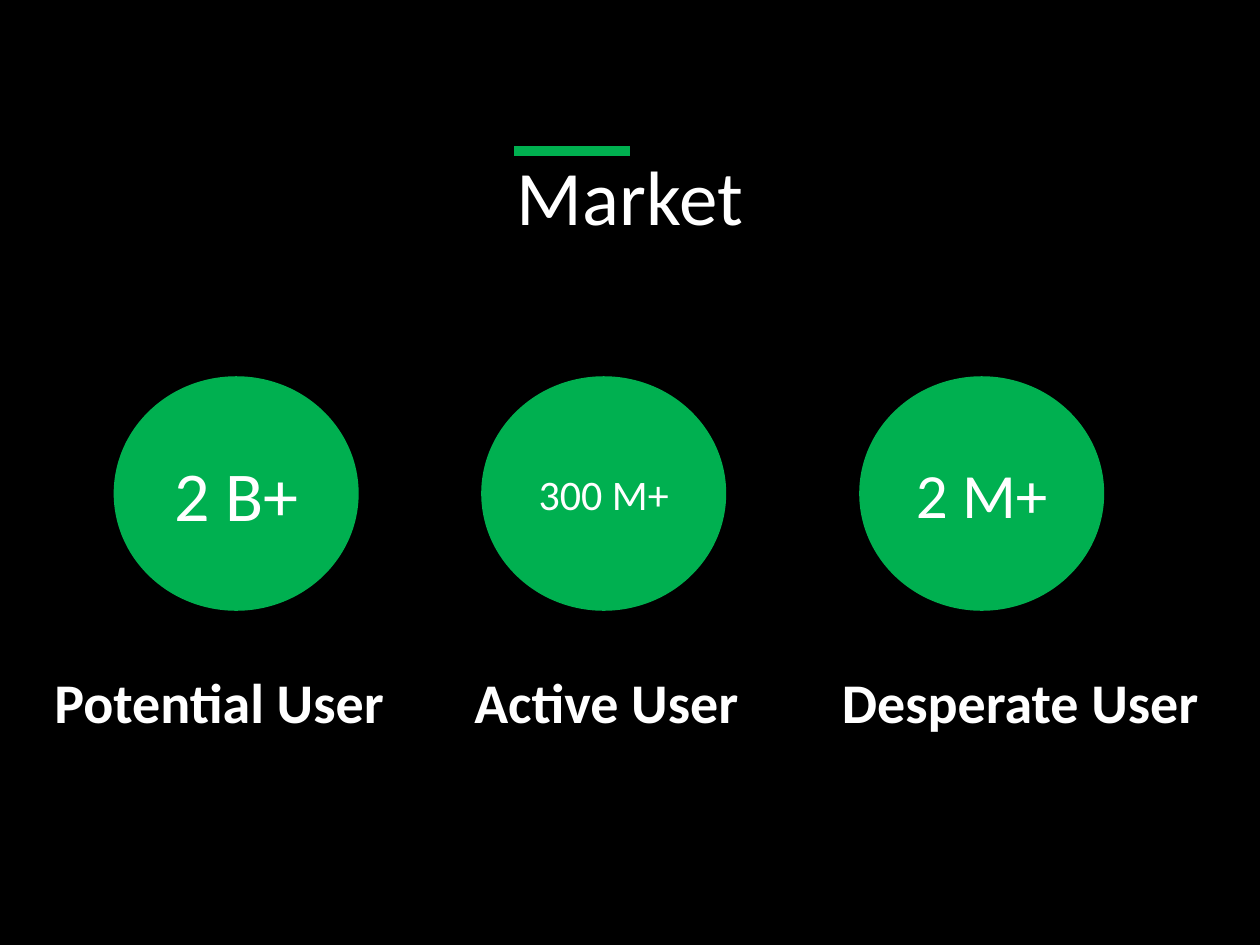
from dataclasses import dataclass

from lxml.etree import SubElement
from pptx import Presentation
from pptx.dml.color import RGBColor
from pptx.enum.shapes import MSO_CONNECTOR, MSO_SHAPE
from pptx.enum.text import MSO_ANCHOR, MSO_AUTO_SIZE, PP_ALIGN
from pptx.oxml.ns import qn
from pptx.util import Inches, Pt


@dataclass(frozen=True)
class Theme:
    font: str = "Calibri"
    background: RGBColor = RGBColor(0x00, 0x00, 0x00)
    accent: RGBColor = RGBColor(0x00, 0xB0, 0x50)
    text: RGBColor = RGBColor(0xFF, 0xFF, 0xFF)
    title_size: int = 44
    label_size: int = 32
    accent_width: int = 6
    outline_width: int = 2


THEME = Theme()
COLUMNS, ROWS = 120, 90
CELL = Inches(10) / COLUMNS

CIRCLE_TOP, CIRCLE_WIDTH, CIRCLE_HEIGHT = 36, 23, 22
LABEL_TOP, LABEL_HEIGHT = 63, 7.7

MARKETS = [
    ("2 B+", 40, 11, "Potential User", 4, 38),
    ("300 M+", 24, 46, "Active User", 44, 31),
    ("2 M+", 36, 82, "Desperate User", 79, 37),
]


def grid(*cells):
    return [round(cell * CELL) for cell in cells]


def write_text(shape, text, size, alignment, anchor, bold=False):
    frame = shape.text_frame
    frame.word_wrap = True
    frame.vertical_anchor = anchor
    frame.text = text
    paragraph = frame.paragraphs[0]
    paragraph.alignment = alignment
    font = paragraph.runs[0].font
    font.name = THEME.font
    font.size = Pt(size)
    font.bold = bold
    font.color.rgb = THEME.text


def add_title(slide, text):
    title = slide.shapes.add_textbox(*grid(6, 11, 108, 15))
    write_text(title, text, THEME.title_size, PP_ALIGN.CENTER, MSO_ANCHOR.MIDDLE)


def add_accent_line(slide):
    line = slide.shapes.add_connector(MSO_CONNECTOR.STRAIGHT, *grid(49, 14.4, 60, 14.4))
    line.line.color.rgb = THEME.accent
    line.line.width = Pt(THEME.accent_width)
    SubElement(line._element.spPr, qn("a:effectLst"))


def add_circle(slide, value, size, left):
    circle = slide.shapes.add_shape(
        MSO_SHAPE.OVAL, *grid(left, CIRCLE_TOP, CIRCLE_WIDTH, CIRCLE_HEIGHT)
    )
    circle.shadow.inherit = False
    circle.fill.solid()
    circle.fill.fore_color.rgb = THEME.accent
    circle.line.color.rgb = THEME.accent
    circle.line.width = Pt(THEME.outline_width)
    write_text(circle, value, size, PP_ALIGN.CENTER, MSO_ANCHOR.MIDDLE)


def add_label(slide, text, left, width):
    label = slide.shapes.add_textbox(*grid(left, LABEL_TOP, width, LABEL_HEIGHT))
    write_text(label, text, THEME.label_size, PP_ALIGN.LEFT, MSO_ANCHOR.TOP, bold=True)
    label.text_frame.auto_size = MSO_AUTO_SIZE.SHAPE_TO_FIT_TEXT


def main():
    presentation = Presentation()
    presentation.slide_width, presentation.slide_height = grid(COLUMNS, ROWS)
    slide = presentation.slides.add_slide(presentation.slide_layouts[6])
    slide.background.fill.solid()
    slide.background.fill.fore_color.rgb = THEME.background

    add_title(slide, "Market")
    add_accent_line(slide)
    for value, size, circle_left, label, label_left, label_width in MARKETS:
        add_circle(slide, value, size, circle_left)
        add_label(slide, label, label_left, label_width)

    presentation.save("out.pptx")


if __name__ == "__main__":
    main()
